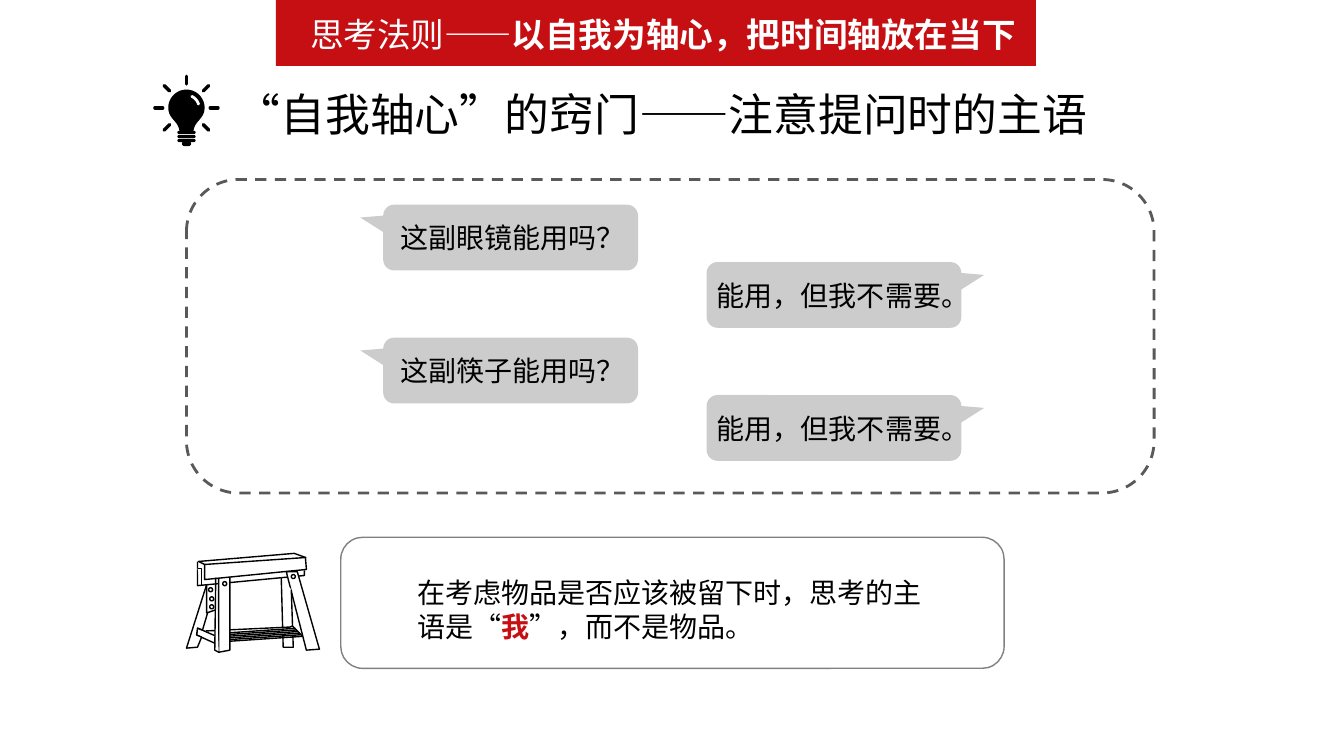
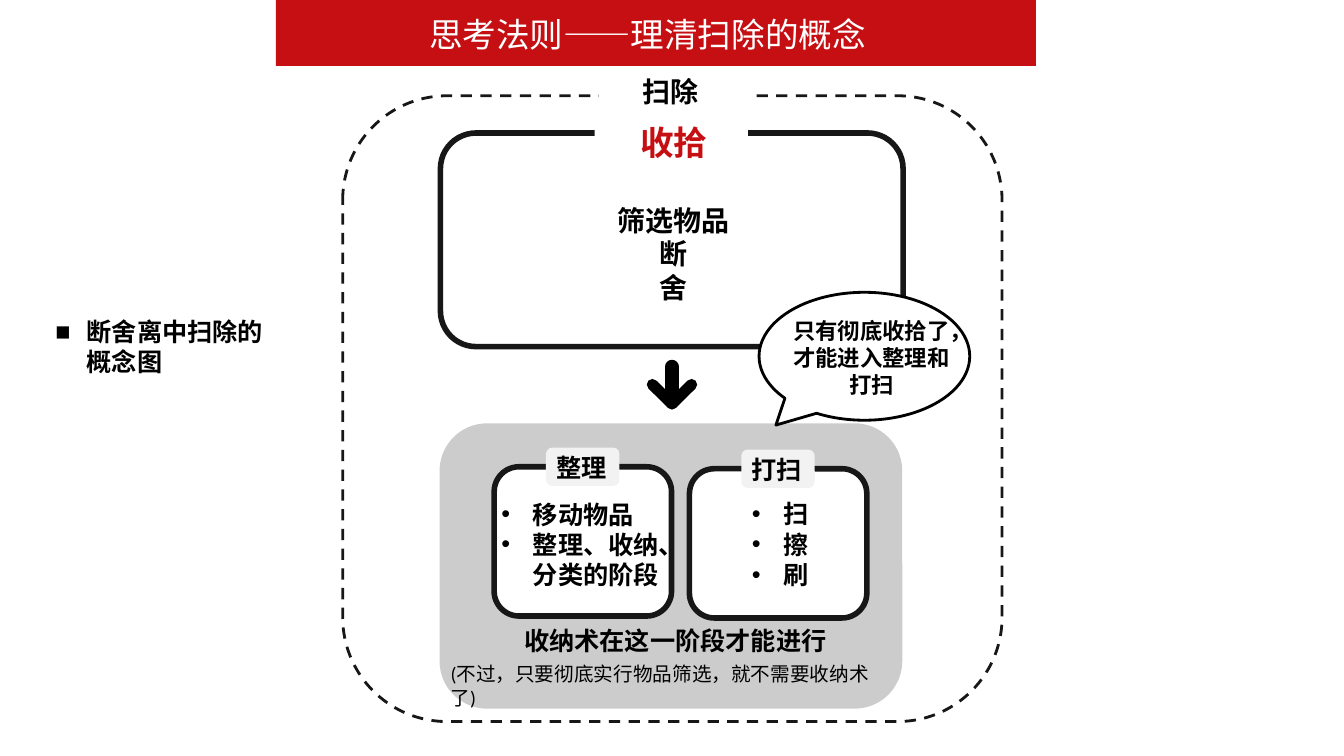
import math
from dataclasses import dataclass

import lxml.etree
import pptx
import pptx.dml.color
import pptx.enum.dml
import pptx.enum.shapes
import pptx.enum.text
import pptx.oxml.ns
import pptx.util


@dataclass(frozen=True)
class Theme:
    red: str = "C60F13"
    black: str = "000000"
    white: str = "FFFFFF"
    ink: str = "181717"
    dark: str = "595959"
    grey: str = "808080"
    pale: str = "F2F2F2"
    sans: str = "Noto Sans CJK SC"
    body: str = "Calibri"
    head: int = 32
    title: int = 24
    text: int = 20
    list: int = 18
    talk: int = 16
    note: int = 14


T = Theme()
KIND = pptx.enum.shapes.MSO_SHAPE
ALIGN = pptx.enum.text.PP_ALIGN
ANCHOR = pptx.enum.text.MSO_ANCHOR
DASH = pptx.enum.dml.MSO_LINE.DASH
BAND = (197, 0, 543, 47)


def pts(*nums):
    return [pptx.util.Pt(n) for n in nums]


def rgb(code):
    return pptx.dml.color.RGBColor.from_string(code)


def add(node, tag, **attrs):
    return lxml.etree.SubElement(node, pptx.oxml.ns.qn(tag), **attrs)


def paint(shape, fill=None, line=None, width=1, dash=None, alpha=None):
    shape.shadow.inherit = False
    if fill:
        shape.fill.solid()
        shape.fill.fore_color.rgb = rgb(fill)
    else:
        shape.fill.background()
    if alpha:
        tone = shape._element.spPr.find(".//" + pptx.oxml.ns.qn("a:srgbClr"))
        add(tone, "a:alpha", val=str(alpha * 1000))
    if line:
        shape.line.color.rgb = rgb(line)
        shape.line.width = pptx.util.Pt(width)
        if dash:
            shape.line.dash_style = dash
    else:
        shape.line.fill.background()
    return shape


def block(slide, kind, box, adj=(), **look):
    shape = slide.shapes.add_shape(kind, *pts(*box))
    for i, val in enumerate(adj):
        shape.adjustments[i] = val
    return paint(shape, **look)


def stroke(slide, start, end, color=T.black, width=1, cap="flat"):
    line = slide.shapes.add_connector(
        pptx.enum.shapes.MSO_CONNECTOR.STRAIGHT, *pts(*start, *end))
    line.line.color.rgb = rgb(color)
    line.line.width = pptx.util.Pt(width)
    line.line._get_or_add_ln().set("cap", cap)
    add(line._element.spPr, "a:effectLst")


def outline(slide, left, top, dots, close=True, **look):
    """Draw a freeform through dots given relative to left and top."""
    first, *rest = [pts(left + x, top + y) for x, y in dots]
    form = slide.shapes.build_freeform(*first, scale=1.0)
    form.add_line_segments(rest, close=close)
    return paint(form.convert_to_shape(), **look)


def style(run, size, color=T.black, bold=False, font=T.sans):
    run.font.size = pptx.util.Pt(size)
    run.font.bold = bold
    run.font.name = font
    run.font.color.rgb = rgb(color)
    props = run._r.get_or_add_rPr()
    props.set("lang", "zh-CN")
    add(props, "a:ea", typeface=T.sans)


def say(shape, text, size, pad=(7.2, 3.6, 7.2, 3.6), align=ALIGN.LEFT,
        anchor=ANCHOR.MIDDLE, mark=None, **look):
    """Fill a shape with text; pad is left, top, right, bottom."""
    frame = shape.text_frame
    frame.word_wrap = True
    frame.auto_size = pptx.enum.text.MSO_AUTO_SIZE.NONE
    frame.vertical_anchor = anchor
    (frame.margin_left, frame.margin_top,
     frame.margin_right, frame.margin_bottom) = pts(*pad)
    frame.text = text
    for para in frame.paragraphs:
        para.alignment = align
        if mark:
            props = para._p.get_or_add_pPr()
            step = pptx.util.Pt(22.5)
            props.set("marL", str(step))
            props.set("indent", str(-step))
            add(props, "a:buFont", typeface="Arial")
            add(props, "a:buChar", char=mark)
        for run in para.runs:
            style(run, size, **look)
    return frame


def more(frame, text, size, **look):
    """Add a run with its own look to the last paragraph."""
    run = frame.paragraphs[-1].add_run()
    run.text = text
    style(run, size, **look)


def label(slide, box, text, size, **look):
    shape = slide.shapes.add_textbox(*pts(*box))
    look.setdefault("anchor", ANCHOR.TOP)
    say(shape, text, size, **look)


def start(deck, text, indent):
    """Open a slide whose title is the red band."""
    slide = deck.slides.add_slide(deck.slide_layouts[5])
    title = slide.shapes.title
    title.left, title.top, title.width, title.height = pts(*BAND)
    title.fill.solid()
    title.fill.fore_color.rgb = rgb(T.red)
    frame = say(title, text, T.title, pad=(indent, 4, 0, 2), color=T.white)
    return slide, frame


def bulb(slide, left, top):
    mid, eye, rad = left + 23.8, top + 23, 13

    def spot(r, turn):
        a = math.radians(turn)
        return r * math.cos(a), r * math.sin(a)

    for turn in range(135, 406, 45):
        (x, y), (u, v) = spot(17, turn), spot(22.5, turn)
        stroke(slide, (mid + x, eye + y), (mid + u, eye + v), width=2.5, cap="rnd")
    side = []
    for i in range(11):
        t = i / 10
        mix = ((1 - t) ** 3, 3 * t * (1 - t) ** 2, 3 * t * t * (1 - t), t ** 3)
        side.append((sum(m * x for m, x in zip(mix, (rad, rad, 5.7, 5))),
                     sum(m * y for m, y in zip(mix, (0, 8, 9.4, 16.6)))))
    dome = [spot(rad, turn) for turn in range(180, 361, 10)]
    flip = [(-x, y) for x, y in reversed(side)]
    outline(slide, mid, eye, dome + side + flip, fill=T.black)
    shine = [spot(9, turn) for turn in range(-65, -11, 6)]
    arc = outline(slide, mid, eye, shine, close=False, line=T.white, width=2)
    arc.line._get_or_add_ln().set("cap", "rnd")
    for x, y, w, h in ((17.3, 39.5, 13, 2.2), (17.3, 42.4, 13, 2.2),
                       (17.3, 45.3, 13, 2.2), (20.5, 47, 6.6, 3.4)):
        block(slide, KIND.ROUNDED_RECTANGLE, (left + x, top + y, w, h),
              adj=(0.5,), fill=T.black)


def bench(slide, left, top):
    look = dict(fill=T.white, line=T.black)

    def part(dots, close=False):
        outline(slide, left, top, dots, close, **look)

    def hole(x, y):
        block(slide, KIND.OVAL, (left + x, top + y, 2.9, 2.9), **look)

    def bar(x, y, u, v):
        stroke(slide, (left + x, top + y), (left + u, top + v))

    back = (
        [(7.9, 5.8), (7.9, 23), (84.2, 15.8), (84.2, 12.2)],
        [(7.9, 10.8), (10.8, 10.8), (10.8, 23)],
        [(20.2, 64.1), (7.2, 58.3), (7.9, 53.3), (20.9, 59)],
        [(15.1, 42.5), (11.5, 54.7), (7.9, 53.3), (7.2, 58.3),
         (10.8, 59.8), (7.9, 67), (0, 67.7), (14.4, 22.3)],
        [(20.9, 40.3), (14.4, 42.5), (14.4, 22.3)],
        [(71.3, 13), (85.7, 69.1), (95, 68.4), (79.2, 13), (71.3, 13)],
        [(67.7, 17.3), (69.1, 67), (76.3, 67), (74.9, 25.9)],
        [(82.8, 59), (75.6, 51.8), (74.2, 52.6), (13.7, 55.4)],
    )
    for dots in back:
        part(dots)
    for x, y in ((74.9, 15.1), (16.6, 36.7), (16.6, 31), (15.8, 24.5)):
        hole(x, y)
    for i in range(6):
        x, y = 26 + i, 57 + 1.15 * i
        bar(x, y, x + 51.8, y - 3.5)
    part([(23, 17.3), (23, 70.6), (31, 69.1), (31, 16.6)], True)
    part([(8.6, 5.8), (77, 0), (85, 2.9), (85.7, 11.5), (13, 18.7), (13, 7.9)], True)
    bar(13, 7.9, 85.7, 2.9)
    hole(25.9, 20.2)
    part([(23, 70.6), (20.2, 69.1), (20.9, 17.3)])


def chat(slide, left, top, width, height):
    """Dashed panel with question and answer bubbles."""
    asks = "这副眼镜能用吗？", "这副筷子能用吗？"
    for i, ask in enumerate(asks):
        row = top + 18 + 95 * i
        for text, x, y, tail, pad in (
                (ask, 140.5, 0, -0.59, (10, 0, 2, 0)),
                ("能用，但我不需要。", 371.5, 41, 0.59, (5, 0, 5, 0))):
            shape = block(slide, KIND.ROUNDED_RECTANGULAR_CALLOUT,
                          (left + x, row + y, 182, 47),
                          adj=(tail, -0.304, 0.167), fill=T.black, alpha=20)
            say(shape, text, T.text, pad=pad)
    block(slide, KIND.ROUNDED_RECTANGLE, (left, top, width, height),
          line=T.dark, width=2, dash=DASH)


def moral(slide, box):
    shape = block(slide, KIND.ROUNDED_RECTANGLE, box, line=T.grey)
    frame = say(shape, "在考虑物品是否应该被留下时，思考的主语是“", T.text,
                pad=(50, 9.5, 50, 0))
    more(frame, "我", T.text, color=T.red, bold=True)
    more(frame, "”，而不是物品。", T.text)


def arrow(slide, left, top):
    tip = (left + 18, top + 31.5)
    stroke(slide, (left + 18, top + 5), (left + 18, top + 28), width=10, cap="rnd")
    for x in (4, 32):
        stroke(slide, (left + x, top + 17.7), tip, width=8, cap="rnd")


def plate(slide, box, text, size, pad, color=T.black):
    """White patch that breaks a frame to hold its name."""
    shape = block(slide, KIND.RECTANGLE, box, fill=T.white)
    say(shape, text, size, pad=pad, color=color, bold=True, font=T.body)


def card(slide, left, top, name, text, pad):
    look = dict(bold=True, font=T.body)
    shape = block(slide, KIND.ROUNDED_RECTANGLE, (left, top, 126.7, 106.6),
                  fill=T.white, line=T.ink, width=4)
    say(shape, text, T.list, pad=pad, mark="•", **look)
    tag = block(slide, KIND.ROUNDED_RECTANGLE, (left + 37, top - 13.7, 52.5, 27.4),
                fill=T.pale)
    say(tag, name, T.list, pad=(0, 1, 2, 0), align=ALIGN.CENTER, **look)


def zone(slide, left, top, width, height):
    """Grey area with the two later steps."""
    block(slide, KIND.ROUNDED_RECTANGLE, (left, top, width, height),
          fill=T.black, alpha=20)
    card(slide, left + 39, top + 31, "整理", "移动物品\n整理、收纳、分类的阶段", (0, 4, 0, 0))
    card(slide, left + 178.5, top + 32.4, "打扫", "扫\n擦\n刷", (39.5, 1, 0, 0))
    label(slide, (left + 53.3, top + 140.4, 248, 30), "收纳术在这一阶段才能进行",
          T.list, bold=True, font=T.body)
    label(slide, (left + 0.7, top + 167, width, 24.5),
          "(不过，只要彻底实行物品筛选，就不需要收纳术了)", T.note, font=T.body)


def chart(slide, left, top, width, height):
    """Concept diagram inside its dashed frame."""
    look = dict(bold=True, font=T.body, align=ALIGN.CENTER)
    block(slide, KIND.ROUNDED_RECTANGLE, (left, top, width, height),
          fill=T.white, line=T.ink, width=2, dash=DASH)
    plate(slide, (left + 183, top - 20, 109.5, 29), "扫除", T.text, (31, 4, 0, 0))
    core = block(slide, KIND.ROUNDED_RECTANGLE, (left + 69.8, top + 26.6, 330.5, 152.6),
                 line=T.ink, width=4)
    say(core, "筛选物品\n断\n舍", T.text, pad=(3, 19.5, 0, 0), **look)
    plate(slide, (left + 180, top + 20.2, 109.5, 29), "收拾", T.title, (32.4, 0, 0, 3), T.red)
    zone(slide, left + 69.2, top + 234, 330.5, 203.8)
    block(slide, KIND.OVAL_CALLOUT, (left + 297.4, top + 140.4, 150.5, 91.4),
          adj=(-0.42, 0.538), fill=T.white, line=T.black, width=2)
    label(slide, (left + 307.4, top + 154.8, 140.4, 65.5),
          "只有彻底收拾了，才能进入整理和打扫", T.talk, **look)
    arrow(slide, left + 217.2, top + 188.6)


def main():
    deck = pptx.Presentation()
    deck.slide_width, deck.slide_height = pts(960, 540)

    slide, frame = start(deck, "思考法则——", 24.5)
    more(frame, "以自我为轴心，把时间轴放在当下", T.title, color=T.white, bold=True)
    label(slide, (161.3, 58.3, 636.5, 46), "“自我轴心”的窍门——注意提问时的主语", T.head)
    bulb(slide, 109.4, 54)
    chat(slide, 133.2, 128.2, 691.2, 224)
    bench(slide, 133.2, 395.3)
    moral(slide, (243.4, 383.8, 473.8, 93.6))

    slide, frame = start(deck, "思考法则——理清扫除的概念", 109.5)
    label(slide, (32.4, 222.5, 165, 51), "断舍离中扫除的概念图", T.list,
          mark="■", bold=True, font=T.body)
    chart(slide, 244.8, 68.4, 471, 447)

    deck.save("out.pptx")


if __name__ == "__main__":
    main()
